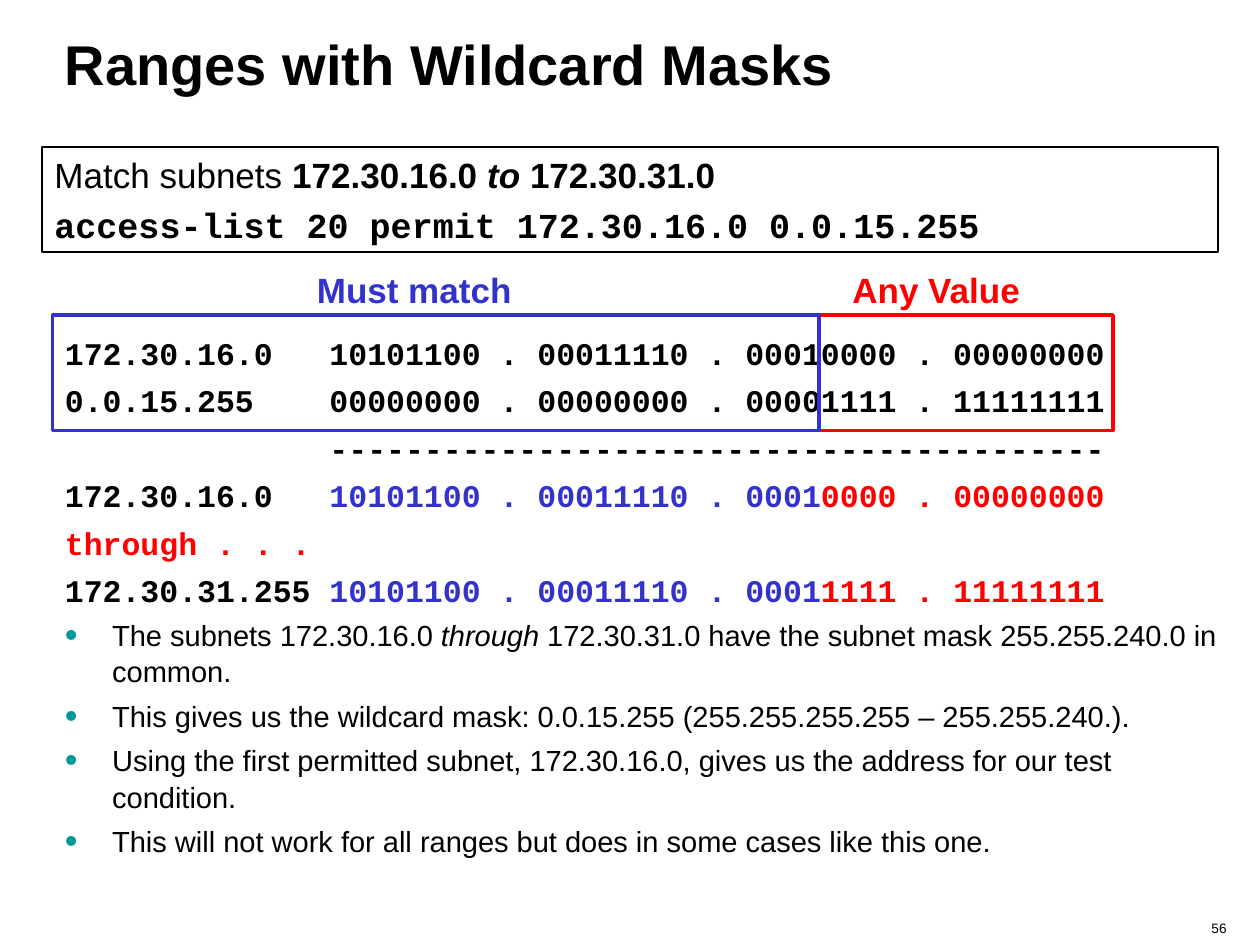
from lxml import etree
from pptx import Presentation
from pptx import util as u
from pptx.dml.color import RGBColor
from pptx.enum import shapes, text
from pptx.oxml.ns import qn

COLORS = {
    "ink": "000000",
    "match": "3333CC",
    "any": "FF0000",
    "bullet": "009999",
}
SANS, MONO = "Arial", "Courier New"
BINARY_COLUMN = 151.2  # fourteen monospaced characters of 18 pt
HANGING = 27


def rgb(name):
    return RGBColor.from_string(COLORS[name])


def add_run(paragraph, content, size=18, font=SANS, color="ink", bold=False, italic=False):
    run = paragraph.add_run()
    run.text = content
    run.font.size = u.Pt(size)
    run.font.name = font
    run.font.color.rgb = rgb(color)
    run.font.bold = bold
    run.font.italic = italic


def add_tab_stop(paragraph, position):
    stops = etree.SubElement(paragraph._p.get_or_add_pPr(), qn("a:tabLst"))
    etree.SubElement(stops, qn("a:tab"), pos=str(u.Pt(position)), algn="l")


def add_bullet(paragraph):
    props = paragraph._p.get_or_add_pPr()
    props.set("marL", str(u.Pt(HANGING)))
    props.set("indent", str(-u.Pt(HANGING)))
    tint = etree.SubElement(props, qn("a:buClr"))
    etree.SubElement(tint, qn("a:srgbClr"), val=COLORS["bullet"])
    etree.SubElement(props, qn("a:buSzPct"), val="125000")
    etree.SubElement(props, qn("a:buFont"), typeface=SANS)
    etree.SubElement(props, qn("a:buChar"), char="•")


class SlideBuilder:
    def __init__(self, slide):
        self.slide = slide

    def fill_text(self, frame, lines, gap=0, spacing=None, align=text.PP_ALIGN.LEFT,
                  tab=None, bullets=False, **style):
        """Write lines; each is a list of (words, format overrides) pairs."""
        frame.word_wrap = True
        for index, line in enumerate(lines):
            paragraph = frame.add_paragraph() if index else frame.paragraphs[0]
            if bullets:
                add_bullet(paragraph)
            if tab:
                add_tab_stop(paragraph, tab)
            paragraph.alignment = align
            paragraph.space_before = u.Pt(gap if index else 0)
            if spacing:
                paragraph.line_spacing = spacing
            for words, overrides in line:
                add_run(paragraph, words, **{**style, **overrides})

    def text_box(self, bounds, lines, anchor=text.MSO_ANCHOR.TOP, **style):
        box = self.slide.shapes.add_textbox(*map(u.Pt, bounds))
        box.text_frame.vertical_anchor = anchor
        self.fill_text(box.text_frame, lines, **style)

    def frame(self, bounds, color, weight):
        outline = self.slide.shapes.add_shape(
            shapes.MSO_SHAPE.RECTANGLE, *map(u.Pt, bounds))
        outline.shadow.inherit = False
        outline.fill.background()
        outline.line.color.rgb = rgb(color)
        outline.line.width = u.Pt(weight)
        outline.text_frame.vertical_anchor = text.MSO_ANCHOR.TOP
        return outline


def plain(*lines):
    return [[(line, {})] for line in lines]


def result_row(address, fixed, free):
    return [(address + "\t", {}), (fixed, {"color": "match"}), (free, {"color": "any"})]


def main():
    deck = Presentation()
    deck.slide_width, deck.slide_height = u.Pt(720), u.Pt(540)
    page = SlideBuilder(deck.slides.add_slide(deck.slide_layouts[6]))

    page.text_box((636, 522, 72, 18), plain("56"), size=7.8, align=text.PP_ALIGN.RIGHT)
    page.text_box((30, 12, 666, 48), plain("Ranges with Wildcard Masks"),
                  size=32, bold=True, anchor=text.MSO_ANCHOR.MIDDLE)

    prefix = "10101100 . 00011110 . 0001"
    comparison = [
        *plain("172.30.16.0\t10101100 . 00011110 . 00010000 . 00000000",
               "0.0.15.255\t00000000 . 00000000 . 00001111 . 11111111",
               "\t" + "-" * 41),
        result_row("172.30.16.0", prefix, "0000 . 00000000"),
        [("through . . .", {"color": "any"})],
        result_row("172.30.31.255", prefix, "1111 . 11111111"),
    ]
    page.text_box((30, 186, 672, 162), comparison, font=MONO, bold=True,
                  gap=4.5, spacing=1.05, tab=BINARY_COLUMN)

    command = page.frame((24, 84, 672, 60), "ink", 0.75)
    page.fill_text(command.text_frame, [
        [("Match subnets ", {"bold": False}), ("172.30.16.0 ", {}),
         ("to", {"italic": True}), (" 172.30.31.0", {})],
        [("access-list 20 permit 172.30.16.0 0.0.15.255", {"font": MONO})],
    ], size=20, bold=True, gap=5)

    for label, color, label_left, left, width in (
        ("Any Value", "any", 480, 468, 168),
        ("Must match", "match", 174, 30, 438),
    ):
        page.frame((left, 180, width, 66), color, 2)
        page.text_box((label_left, 150, 138, 31.5), plain(label),
                      size=20, bold=True, color=color)

    notes = [
        [("The subnets 172.30.16.0 ", {}), ("through", {"italic": True}),
         (" 172.30.31.0 have the subnet mask 255.255.240.0 in common.", {})],
        *plain(
            "This gives us the wildcard mask: 0.0.15.255 (255.255.255.255 – 255.255.240.).",
            "Using the first permitted subnet, 172.30.16.0, gives us the address for our test condition.",
            "This will not work for all ranges but does in some cases like this one."),
    ]
    page.text_box((30, 348, 672, 162), notes, size=16.6, gap=4.5,
                  spacing=1.05, bullets=True)

    deck.save("out.pptx")


if __name__ == "__main__":
    main()
